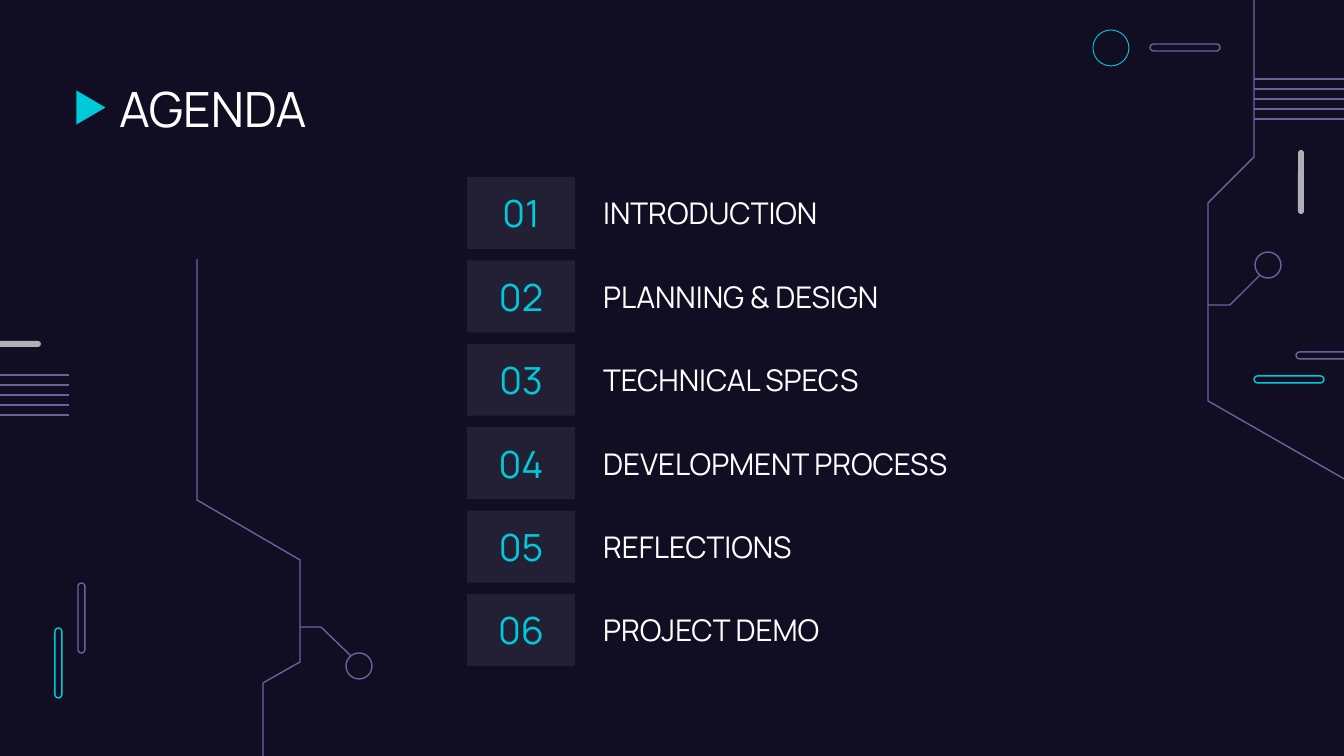
from lxml.etree import SubElement
from pptx import Presentation
from pptx.dml.color import RGBColor
from pptx.enum.shapes import MSO_CONNECTOR, MSO_SHAPE
from pptx.enum.text import MSO_ANCHOR, PP_ALIGN
from pptx.oxml.ns import qn
from pptx.util import Emu, Pt

NAVY = RGBColor(0x11, 0x0E, 0x24)
CYAN = RGBColor(0x00, 0xCA, 0xDA)
PURPLE = RGBColor(0x69, 0x63, 0x9C)
GREY = RGBColor(0xAF, 0xAF, 0xB6)
WHITE = RGBColor(0xFF, 0xFF, 0xFF)

FONT = "Manrope"
PIXELS_PER_INCH = 134.4
LINE_WIDTH = 0.75

TITLE = ("AGENDA", (106, 66, 1133, 85))
AGENDA = [
    ("INTRODUCTION", 399),
    ("PLANNING & DESIGN", 461),
    ("TECHNICAL SPECS", 497),
    ("DEVELOPMENT PROCESS", 399),
    ("REFLECTIONS", 399),
    ("PROJECT DEMO", 399),
]
FIRST_TOP, LAST_TOP, ROW_HEIGHT = 177, 594, 72
NUMBER_LEFT, NUMBER_WIDTH, TOPIC_LEFT = 467, 108, 590

PILLS = [
    ((55, 628, 7, 70), CYAN),
    ((78, 583, 7, 70), PURPLE),
    ((1254, 376, 70, 7), CYAN),
    ((1296, 352, 70, 7), PURPLE),
    ((1150, 44, 70, 7), PURPLE),
]
BARS = [(1298, 150, 6, 64), (-24, 341, 65, 6)]
CIRCLES = [
    ((1093, 30, 36, 36), CYAN, 0.47),
    ((1255, 252, 26, 26), PURPLE, LINE_WIDTH),
    ((346, 653, 26, 26), PURPLE, LINE_WIDTH),
]
TRACES = [
    [(1260, 275), (1230, 305), (1208, 305)],
    [(1360, 488), (1208, 401), (1208, 203), (1254, 157), (1254, -8)],
    [(351, 656), (321, 627), (300, 627)],
    [(197, 259), (197, 500), (300, 560), (300, 662), (263, 683), (263, 768)],
]
STRIPES = [(1254, 1452, 79), (69, -82, 375)]
STRIPE_COUNT, STRIPE_GAP = 5, 10
TRIANGLE = (74, 93, 34, 29)


def px(value):
    return Emu(round(value * 914400 / PIXELS_PER_INCH))


def set_values(target, values):
    for name, value in values.items():
        setattr(target, name, value)


def style(shape, fill=None, line=None, width=LINE_WIDTH):
    shape.shadow.inherit = False
    if fill is None:
        shape.fill.background()
    else:
        shape.fill.solid()
        shape.fill.fore_color.rgb = fill
    if line is None:
        shape.line.fill.background()
    else:
        shape.line.color.rgb = line
        shape.line.width = Pt(width)


def add_shape(slide, kind, box, **look):
    shape = slide.shapes.add_shape(kind, *map(px, box))
    style(shape, **look)
    return shape


def add_pill(slide, box, **look):
    add_shape(slide, MSO_SHAPE.ROUNDED_RECTANGLE, box, **look).adjustments[0] = 0.5


def add_trace(slide, points):
    corners = [(px(x), px(y)) for x, y in points]
    builder = slide.shapes.build_freeform(*corners[0])
    builder.add_line_segments(corners[1:], close=False)
    style(builder.convert_to_shape(), line=PURPLE)


def add_stripe(slide, start, end, y):
    line = slide.shapes.add_connector(MSO_CONNECTOR.STRAIGHT, px(start), px(y), px(end), px(y))
    line.line.color.rgb = PURPLE
    line.line.width = Pt(LINE_WIDTH)
    SubElement(line._element.spPr, qn("a:effectLst"))


def write(shape, text, size, color, anchor=MSO_ANCHOR.MIDDLE, alignment=PP_ALIGN.LEFT):
    frame = shape.text_frame
    inset = Emu(91440)
    set_values(frame, {
        "word_wrap": True, "vertical_anchor": anchor,
        "margin_left": inset, "margin_right": inset,
        "margin_top": inset, "margin_bottom": inset,
    })
    paragraph = frame.paragraphs[0]
    paragraph.alignment = alignment
    run = paragraph.add_run()
    run.text = text
    set_values(run.font, {"name": FONT, "size": Pt(size)})
    run.font.color.rgb = color


def add_text(slide, box, *content, **layout):
    write(slide.shapes.add_textbox(*map(px, box)), *content, **layout)


def add_decoration(slide):
    for box, color in PILLS:
        add_pill(slide, box, line=color)
    for box, color, width in CIRCLES:
        add_shape(slide, MSO_SHAPE.OVAL, box, line=color, width=width)
    for points in TRACES:
        add_trace(slide, points)
    for start, end, top in STRIPES:
        for index in range(STRIPE_COUNT):
            add_stripe(slide, start, end, top + index * STRIPE_GAP)
    for box in BARS:
        add_pill(slide, box, fill=GREY)
    add_shape(slide, MSO_SHAPE.FLOWCHART_MERGE, TRIANGLE, fill=CYAN).rotation = 270


def add_agenda(slide):
    pitch = (LAST_TOP - FIRST_TOP) / (len(AGENDA) - 1)
    for index, (topic, width) in enumerate(AGENDA):
        top = FIRST_TOP + index * pitch
        number = add_shape(slide, MSO_SHAPE.RECTANGLE,
                           (NUMBER_LEFT, top, NUMBER_WIDTH, ROW_HEIGHT), fill=WHITE)
        color = number._element.spPr.find(qn("a:solidFill"))[0]
        SubElement(color, qn("a:alpha"), val="8000")
        write(number, f"{index + 1:02}", 20, CYAN, alignment=PP_ALIGN.CENTER)
        add_text(slide, (TOPIC_LEFT, top, width, ROW_HEIGHT), topic, 16, WHITE)


def main():
    presentation = Presentation()
    set_values(presentation, {"slide_width": px(1344), "slide_height": px(756)})
    slide = presentation.slides.add_slide(presentation.slide_layouts[6])
    slide.background.fill.solid()
    slide.background.fill.fore_color.rgb = NAVY
    add_decoration(slide)
    title, box = TITLE
    add_text(slide, box, title, 26, WHITE, anchor=MSO_ANCHOR.TOP)
    add_agenda(slide)
    presentation.save("out.pptx")


if __name__ == "__main__":
    main()
